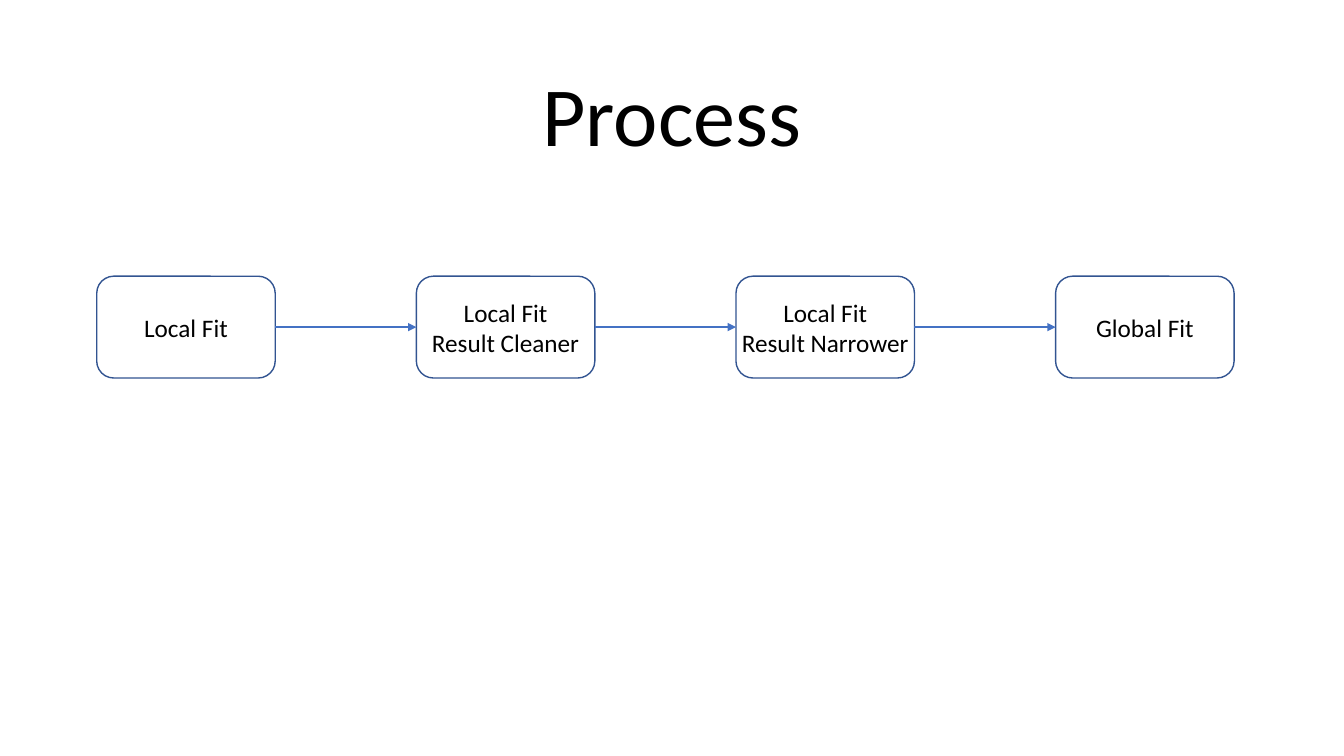
from lxml.etree import SubElement
from pptx import Presentation
from pptx.dml.color import RGBColor
from pptx.enum.shapes import MSO_CONNECTOR, MSO_SHAPE
from pptx.enum.text import MSO_ANCHOR, PP_ALIGN
from pptx.oxml.ns import qn
from pptx.util import Inches, Pt

STEPS = ["Local Fit", "Local Fit\nResult Cleaner", "Local Fit\nResult Narrower", "Global Fit"]
STEP_WIDTH = 1.77
RIGHT_SIDE, LEFT_SIDE = 3, 1  # connection sites of a rounded rectangle


def color(hex_value):
    return RGBColor.from_string(hex_value)


def write(frame, text, size):
    frame.text = text
    frame.word_wrap = True
    frame.vertical_anchor = MSO_ANCHOR.MIDDLE
    for paragraph in frame.paragraphs:
        paragraph.alignment = PP_ALIGN.CENTER
        for run in paragraph.runs:
            run.font.name = "Calibri"
            run.font.size = Pt(size)
            run.font.color.rgb = color("000000")


def add_heading(slide, text, left, top, width, height):
    heading = slide.shapes.title
    heading.left, heading.top = Inches(left), Inches(top)
    heading.width, heading.height = Inches(width), Inches(height)
    write(heading.text_frame, text, 60)


def add_step(slide, text, left, top, width, height):
    step = slide.shapes.add_shape(
        MSO_SHAPE.ROUNDED_RECTANGLE,
        Inches(left), Inches(top), Inches(width), Inches(height))
    step.shadow.inherit = False
    step.fill.background()
    step.line.color.rgb = color("325491")
    step.line.width = Pt(1)
    frame = step.text_frame
    frame.margin_left = frame.margin_right = 0
    write(frame, text, 18)
    return step


def add_arrow(slide, source, target):
    arrow = slide.shapes.add_connector(MSO_CONNECTOR.STRAIGHT, 0, 0, 0, 0)
    arrow.begin_connect(source, RIGHT_SIDE)
    arrow.end_connect(target, LEFT_SIDE)
    arrow.line.color.rgb = color("4472C4")
    arrow.line.width = Pt(1)
    SubElement(arrow.line._get_or_add_ln(), qn("a:tailEnd"), type="triangle")
    SubElement(arrow._element.spPr, qn("a:effectLst"))


def add_process(slide, left, top, width, height):
    pitch = (width - STEP_WIDTH) / (len(STEPS) - 1)
    steps = [add_step(slide, text, left + i * pitch, top, STEP_WIDTH, height)
             for i, text in enumerate(STEPS)]
    for source, target in zip(steps, steps[1:]):
        add_arrow(slide, source, target)


presentation = Presentation()
presentation.slide_width = Inches(13.33)
presentation.slide_height = Inches(7.5)
process_slide = presentation.slides.add_slide(presentation.slide_layouts.get_by_name("Title Only"))

# Heading across the full width
add_heading(process_slide, "Process", 0, 0.57, 13.33, 1.11)

# Row of steps joined by arrows
add_process(process_slide, 0.96, 2.74, 11.28, 1.01)

presentation.save("out.pptx")
